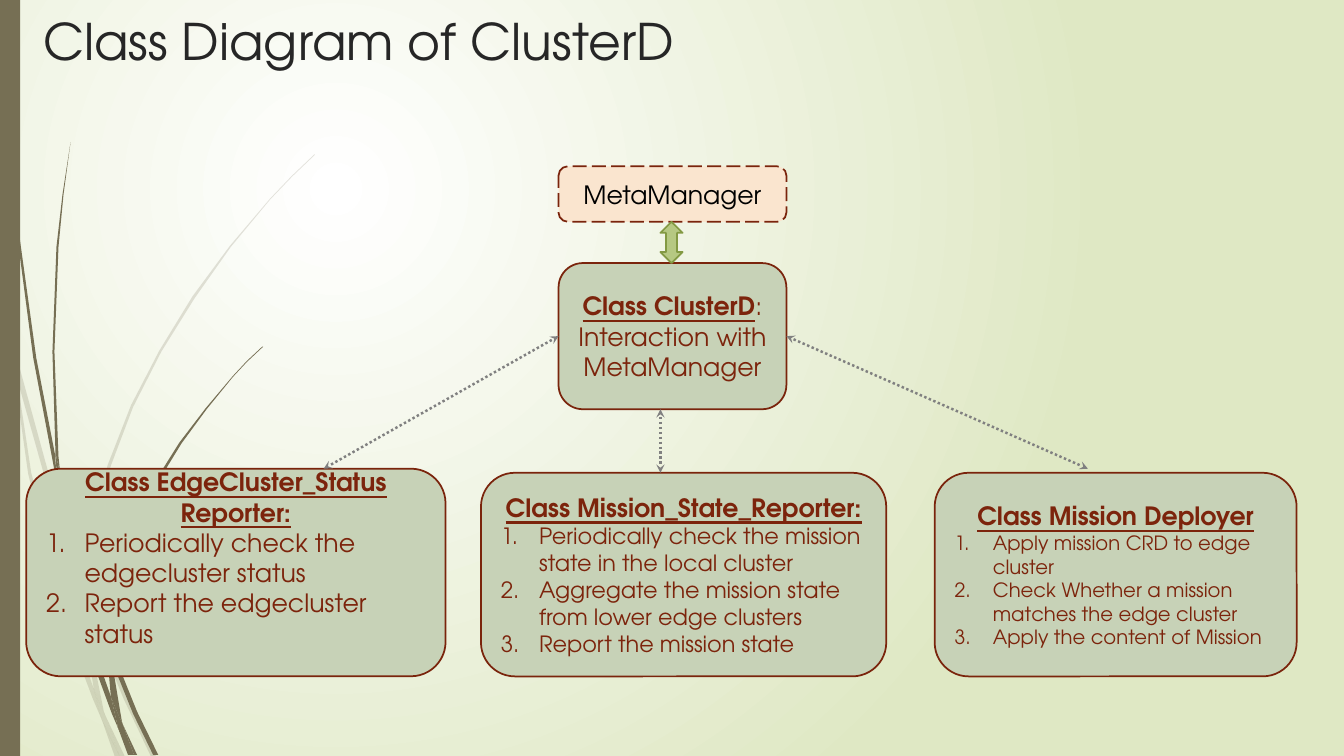
from lxml import etree
from pptx import Presentation
from pptx.dml.color import RGBColor
from pptx.enum.dml import MSO_LINE
from pptx.enum.shapes import MSO_CONNECTOR, MSO_SHAPE
from pptx.enum.text import MSO_ANCHOR, MSO_AUTO_SIZE, PP_ALIGN
from pptx.oxml.ns import qn
from pptx.util import Pt

PX = 9144
FONT = "TeX Gyre Adventor"
WHITE = RGBColor(0xFF, 0xFF, 0xFF)
PALE_GREEN = RGBColor(0xDF, 0xE8, 0xC4)
OLIVE = RGBColor(0x76, 0x6F, 0x54)
CHARCOAL = RGBColor(0x26, 0x26, 0x26)
BLACK = RGBColor(0, 0, 0)
GRAY = RGBColor(0x80, 0x80, 0x80)
SAGE = RGBColor(0xC7, 0xD2, 0xB7)
PEACH = RGBColor(0xFA, 0xE5, 0xCF)
RUST = RGBColor(0x7A, 0x24, 0x0C)
RUST_TEXT = RGBColor(0x7C, 0x24, 0x0C)
ARROW_FILL = RGBColor(0xB6, 0xC8, 0x82)
ARROW_LINE = RGBColor(0x83, 0x99, 0x43)

LIGHT_WISPS = [
    [(11, 350), (9, 322), (0, 282), (0, 299), (10, 344)],
    [(58, 522), (84, 599), (85, 586), (62, 520), (14, 345), (17, 376)],
    [(92, 607), (88, 596), (88, 610), (123, 694), (150, 751), (155, 751), (127, 692)],
    [(119, 751), (124, 751), (105, 711)],
    [(93, 683), (70, 619), (31, 469), (17, 376), (11, 350), (28, 470), (65, 621),
     (92, 693), (101, 714), (99, 707)],
    [(84, 599), (87, 646), (93, 683), (96, 692), (105, 711), (103, 706), (91, 646),
     (88, 610), (88, 608)],
    [(88, 584), (92, 522), (110, 462), (132, 404), (160, 349), (193, 296), (229, 245),
     (268, 198), (290, 175), (312, 154), (312, 153), (289, 175), (268, 197), (228, 244),
     (191, 294), (158, 348), (130, 402), (107, 461), (90, 521), (85, 584), (85, 586),
     (88, 596)],
    [(101, 714), (114, 751), (119, 751)],
    [(96, 692), (93, 683), (99, 707), (101, 714), (119, 751), (105, 711)],
]
DARK_WISPS = [
    [(7, 110), (17, 233), (33, 355), (56, 477), (57, 481), (55, 457), (55, 453),
     (36, 355), (19, 232), (8, 109), (5, 48), (4, 0), (3, 0), (4, 48)],
    [(113, 649), (110, 641), (111, 656), (132, 708), (152, 749), (157, 749), (136, 706)],
    [(110, 691), (98, 657), (72, 556), (64, 505), (57, 477), (68, 557), (93, 659),
     (111, 708), (117, 722), (116, 717)],
    [(60, 472), (58, 453), (54, 349), (58, 245), (63, 193), (70, 141), (62, 193),
     (56, 245), (52, 349), (55, 449)],
    [(133, 749), (136, 749), (122, 719)],
    [(57, 477), (64, 505), (60, 472), (55, 449), (55, 453)],
    [(111, 633), (115, 590), (125, 552), (140, 512), (158, 476), (180, 440), (205, 406),
     (231, 374), (245, 359), (261, 344), (260, 344), (245, 358), (231, 373), (204, 405),
     (178, 439), (156, 474), (137, 512), (122, 551), (111, 590), (106, 631), (110, 641)],
    [(117, 722), (127, 749), (131, 749)],
    [(106, 645), (110, 691), (116, 706), (122, 719), (121, 716), (111, 656), (109, 651)],
    [(116, 706), (110, 691), (116, 717), (117, 722), (130, 749), (133, 749), (122, 719)],
]

CLASSES = [
    (26, 465, 416, 206, "Class EdgeCluster_Status Reporter:", 18, 35,
     ["Periodically check the edgecluster status", "Report the edgecluster status"]),
    (477, 469, 402, 202, "Class Mission_State_Reporter:", 16, 5,
     ["Periodically check the mission state in the local cluster",
      "Aggregate the mission state from lower edge clusters",
      "Report the mission state"]),
    (927, 469, 359, 202, "Class Mission Deployer", 14, 5,
     ["Apply mission CRD to edge cluster",
      "Check Whether a mission matches the edge cluster",
      "Apply the content of Mission"]),
]


def add_box(kind, x, y, w, h, fill, line):
    sp = s.shapes.add_shape(kind, x * PX, y * PX, w * PX, h * PX)
    sp.shadow.inherit = False
    sp.fill.solid()
    sp.fill.fore_color.rgb = fill
    sp.line.color.rgb = line
    sp.line.width = Pt(1.25)
    sp.text_frame.word_wrap = True
    sp.text_frame.vertical_anchor = MSO_ANCHOR.MIDDLE
    return sp


def add_text(p, text, size, color, bold=False, align=PP_ALIGN.CENTER):
    p.alignment = align
    r = p.add_run()
    r.text = text
    r.font.name = FONT
    r.font.size = Pt(size)
    r.font.color.rgb = color
    r.font.bold = bold
    r.font.underline = bold


prs = Presentation()
prs.slide_width = 1333 * PX
prs.slide_height = 750 * PX
s = prs.slides.add_slide(prs.slide_layouts[5])

bg = s.background.fill
bg.gradient()
for stop, color in zip(bg.gradient_stops, (WHITE, PALE_GREEN)):
    stop.color.rgb = color
lin = s.element.find(".//" + qn("a:lin"))
circle = etree.Element(qn("a:path"), {"path": "circle"})
etree.SubElement(circle, qn("a:fillToRect"), l="50000", t="50000", r="100000", b="100000")
lin.getparent().replace(lin, circle)

for wisps, alpha in ((LIGHT_WISPS, "20000"), (DARK_WISPS, "100000")):
    for points in wisps:
        builder = s.shapes.build_freeform(*points[0], scale=PX)
        builder.add_line_segments(points[1:], close=True)
        sp = builder.convert_to_shape()
        sp.shadow.inherit = False
        sp.fill.solid()
        sp.fill.fore_color.rgb = OLIVE
        sp.line.fill.background()
        etree.SubElement(sp.element.spPr.find(".//" + qn("a:srgbClr")), qn("a:alpha"), val=alpha)

bar = add_box(MSO_SHAPE.RECTANGLE, 0, 0, 20, 750, OLIVE, OLIVE)
bar.line.fill.background()

title = s.shapes.title
title.left, title.top, title.width, title.height = 33 * PX, 5 * PX, 1150 * PX, 145 * PX
tf = title.text_frame
tf.auto_size = MSO_AUTO_SIZE.NONE
tf.vertical_anchor = MSO_ANCHOR.TOP
add_text(tf.paragraphs[0], "Class Diagram of ClusterD", 36, CHARCOAL, align=PP_ALIGN.LEFT)

clusterd = add_box(MSO_SHAPE.ROUNDED_RECTANGLE, 554, 261, 226, 145, SAGE, RUST)
tf = clusterd.text_frame
add_text(tf.paragraphs[0], "Class ClusterD", 18, RUST_TEXT, bold=True)
add_text(tf.paragraphs[0], ":", 18, RUST_TEXT)
add_text(tf.add_paragraph(), "Interaction with MetaManager", 18, RUST_TEXT)

for x, y, w, h, heading, size, bottom, duties in CLASSES:
    tf = add_box(MSO_SHAPE.ROUNDED_RECTANGLE, x, y, w, h, SAGE, RUST).text_frame
    tf.margin_bottom = bottom * PX
    add_text(tf.paragraphs[0], heading, 18, RUST_TEXT, bold=True)
    for duty in duties:
        p = tf.add_paragraph()
        add_text(p, duty, size, RUST_TEXT, align=PP_ALIGN.LEFT)
        pPr = p._p.get_or_add_pPr()
        pPr.set("marL", str(38 * PX))
        pPr.set("indent", str(-38 * PX))
        etree.SubElement(pPr, qn("a:buFont"), typeface="+mj-lt")
        etree.SubElement(pPr, qn("a:buAutoNum"), type="arabicPeriod")

manager = add_box(MSO_SHAPE.ROUNDED_RECTANGLE, 554, 165, 226, 55, PEACH, RUST)
manager.line.dash_style = MSO_LINE.LONG_DASH
add_text(manager.text_frame.paragraphs[0], "MetaManager", 18, BLACK)
add_box(MSO_SHAPE.UP_DOWN_ARROW, 655, 220, 22, 41, ARROW_FILL, ARROW_LINE)

for x1, y1, x2, y2, site in ((655, 406, 655, 469, None),
                             (554, 334, 321, 465, 1),
                             (780, 334, 1079, 465, 3)):
    link = s.shapes.add_connector(MSO_CONNECTOR.STRAIGHT, x1 * PX, y1 * PX, x2 * PX, y2 * PX)
    if site is not None:
        link.begin_connect(clusterd, site)
    link.line.color.rgb = GRAY
    link.line.width = Pt(1.75)
    link.line.dash_style = MSO_LINE.ROUND_DOT
    ln = link.line._get_or_add_ln()
    for end in ("a:headEnd", "a:tailEnd"):
        etree.SubElement(ln, qn(end), type="stealth")
    etree.SubElement(link.element.spPr, qn("a:effectLst"))

prs.save("out.pptx")
